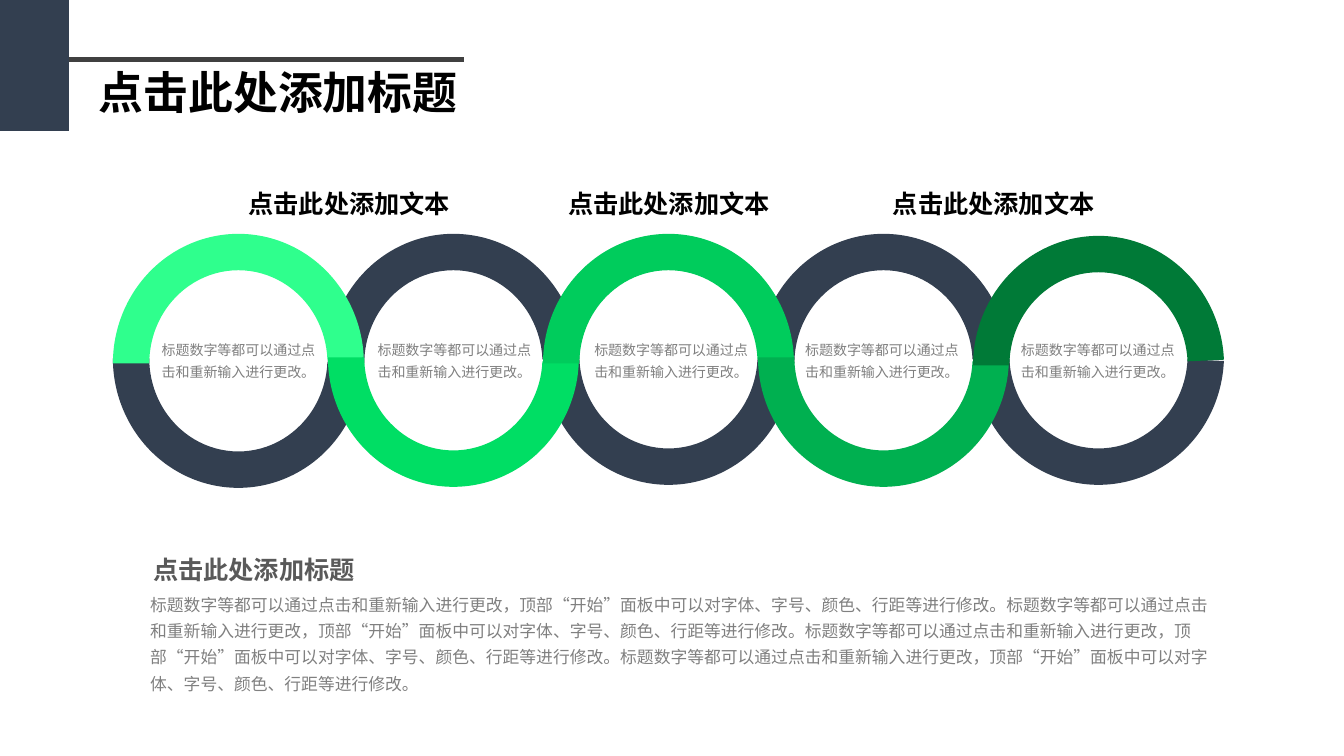
from lxml.etree import SubElement
from pptx import Presentation
from pptx.dml.color import RGBColor
from pptx.enum.shapes import MSO_CONNECTOR, MSO_SHAPE
from pptx.enum.text import MSO_ANCHOR, MSO_AUTO_SIZE, PP_ALIGN
from pptx.oxml.ns import qn
from pptx.util import Inches, Pt

COLUMNS, ROWS = 160, 90
NAVY, BLACK, GREY = "333F50", "000000", "808080"


def rgb(hex_code):
    return RGBColor.from_string(hex_code)


class SlideBuilder:
    """Draws on one slide; lengths are columns and rows of the grid."""

    font = "Noto Sans CJK SC"

    def __init__(self, deck, slide):
        self.slide = slide
        self.column = deck.slide_width / COLUMNS
        self.row = deck.slide_height / ROWS

    def box(self, left, top, width, height):
        return (round(left * self.column), round(top * self.row),
                round(width * self.column), round(height * self.row))

    def shape(self, kind, area, color):
        shape = self.slide.shapes.add_shape(kind, *self.box(*area))
        shape.shadow.inherit = False
        shape.fill.solid()
        shape.fill.fore_color.rgb = rgb(color)
        shape.line.fill.background()
        return shape

    def half_ring(self, left, top, color, upper):
        arc = self.shape(MSO_SHAPE.BLOCK_ARC, (left, top, 29.88, 30.84), color)
        # Start angle, end angle, ring thickness
        angles = (108, 214.44) if upper else (1.56, 108)
        for index, value in enumerate((*angles, 0.145)):
            arc.adjustments[index] = value

    def rule(self, left, right, row, color, weight):
        x, y, length, _ = self.box(left, row, right - left, 0)
        line = self.slide.shapes.add_connector(
            MSO_CONNECTOR.STRAIGHT, x, y, x + length, y)
        line.line.color.rgb = rgb(color)
        line.line.width = Pt(weight)
        SubElement(line._element.spPr, qn("a:effectLst"))

    def fill_text(self, holder, text, size, color, bold=False, wrap=True,
                  align=PP_ALIGN.LEFT, spacing=1.0, insets=(0.07, 0.04)):
        frame = holder.text_frame
        frame.word_wrap = wrap
        frame.auto_size = MSO_AUTO_SIZE.SHAPE_TO_FIT_TEXT
        frame.vertical_anchor = MSO_ANCHOR.TOP
        frame.margin_left = frame.margin_right = Inches(insets[0])
        frame.margin_top = frame.margin_bottom = Inches(insets[1])
        paragraph = frame.paragraphs[0]
        paragraph.alignment = align
        paragraph.line_spacing = spacing
        run = paragraph.add_run()
        run.text = text
        run.font.size, run.font.bold = Pt(size), bold
        run.font.color.rgb = rgb(color)
        run.font.name = self.font
        SubElement(run._r.get_or_add_rPr(), qn("a:ea")).set("typeface", self.font)

    def title(self, area, text, **style):
        title = self.slide.shapes.title
        title.left, title.top, title.width, title.height = self.box(*area)
        self.fill_text(title, text, **style)

    def text(self, area, text, **style):
        self.fill_text(self.slide.shapes.add_textbox(*self.box(*area)), text, **style)


def main():
    deck = Presentation()
    deck.slide_width, deck.slide_height = Inches(13.33), Inches(7.5)
    page = SlideBuilder(deck, deck.slides.add_slide(deck.slide_layouts[5]))

    # Header
    page.shape(MSO_SHAPE.RECTANGLE, (0, 0, 8.2, 15.6), NAVY)
    page.title((10.56, 7.08, 53.28, 7.68), "点击此处添加标题",
               size=32, color=BLACK, bold=True, insets=(0.1, 0.05))
    page.rule(8.2, 55.2, 7.08, "404040", 3)

    # Chain of rings: accent, row of upper half, row of lower half, note column
    rings = [
        ("2FFF8D", 27.84, 27.24, 18),
        ("00DE64", 27.84, 27.12, 43.7),
        ("00CC5C", 27.84, 26.88, 69.5),
        ("00B050", 27.84, 27.12, 94.6),
        ("007A37", 28.08, 26.88, 120.3),
    ]
    first_ring, ring_pitch = 13.44, 25.6
    # Navy halves lie behind the accent halves, which alternate up and down
    for accented in (False, True):
        for index, (accent, upper_row, lower_row, _) in enumerate(rings):
            upper = (index % 2 == 0) == accented
            page.half_ring(first_ring + index * ring_pitch,
                           upper_row if upper else lower_row,
                           accent if accented else NAVY, upper)

    # Captions above the rings
    for caption_column in (28.44, 66.5, 105.15):
        page.text((caption_column, 21.96, 26.28, 4.56), "点击此处添加文本",
                  size=18, color=BLACK, bold=True, wrap=False,
                  align=PP_ALIGN.CENTER)

    # Notes inside the rings
    for *_, note_column in rings:
        page.text((note_column, 39.6, 20.76, 6.12),
                  "标题数字等都可以通过点击和重新输入进行更改。",
                  size=10, color=GREY, align=PP_ALIGN.CENTER, spacing=1.3)

    # Summary
    sentence = ("标题数字等都可以通过点击和重新输入进行更改，"
                "顶部“开始”面板中可以对字体、字号、颜色、行距等进行修改。")
    page.text((17.04, 69.6, 128.64, 13.56), sentence * 4,
              size=12, color=GREY, spacing=1.3)
    page.text((17.04, 65.4, 26.64, 4.8), "点击此处添加标题",
              size=18, color="595959", bold=True, wrap=False, insets=(0.1, 0.05))

    deck.save("out.pptx")


if __name__ == "__main__":
    main()
